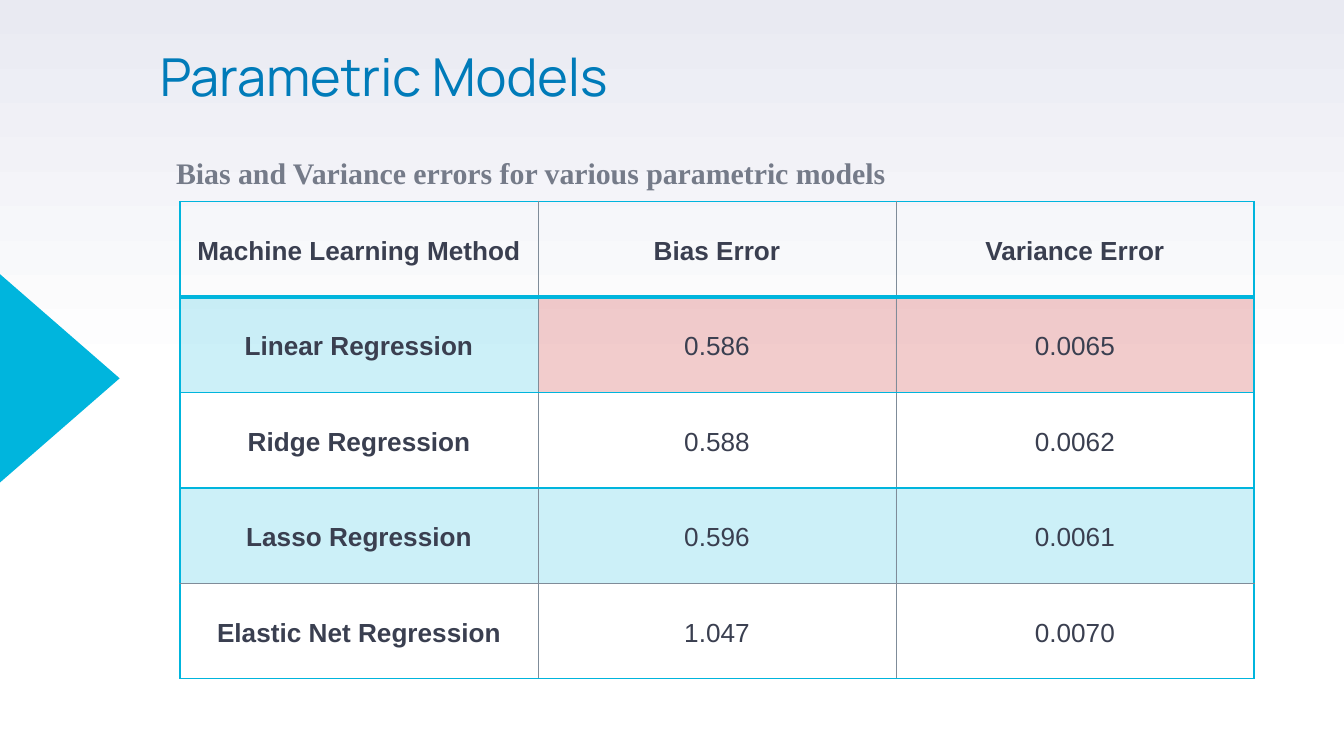
"""Build the slide that compares the errors of parametric models."""
from lxml import etree
from pptx import Presentation, util as u
from pptx.dml.color import RGBColor
from pptx.enum import shapes, text
from pptx.oxml.ns import qn

BLUE = RGBColor(0x00, 0x7B, 0xB9)
CYAN = RGBColor(0x00, 0xB5, 0xDD)
RED = RGBColor(0xC0, 0x00, 0x00)
GREY = RGBColor(0x75, 0x7B, 0x89)
RULE = RGBColor(0x7F, 0x8C, 0x99)
INK = RGBColor(0x3A, 0x3F, 0x50)
WHITE = RGBColor(0xFF, 0xFF, 0xFF)
LILAC = RGBColor(0xE9, 0xEA, 0xF2)

ROWS = [
    ("Machine Learning Method", "Bias Error", "Variance Error"),
    ("Linear Regression", "0.586", "0.0065"),
    ("Ridge Regression", "0.588", "0.0062"),
    ("Lasso Regression", "0.596", "0.0061"),
    ("Elastic Net Regression", "1.047", "0.0070"),
]
TINTS = {(1, 0): CYAN, (1, 1): RED, (1, 2): RED,
         (3, 0): CYAN, (3, 1): CYAN, (3, 2): CYAN}
ROW_RULES = [(CYAN, 1), (CYAN, 2), (CYAN, 1), (CYAN, 1), (RULE, 0.5), (CYAN, 1)]
COLUMN_RULES = [(CYAN, 1), (RULE, 0.5), (RULE, 0.5), (CYAN, 1)]


def write(tf, words, font="Arial", size=14, color=INK, bold=False,
          align=text.PP_ALIGN.LEFT, spacing=1.0, after=0):
    """Put one formatted paragraph into a text frame."""
    p = tf.paragraphs[0]
    p.alignment, p.line_spacing = align, spacing
    p.space_before, p.space_after = u.Pt(0), u.Pt(after)
    r = p.add_run()
    r.text = words
    r.font.name, r.font.size, r.font.bold = font, u.Pt(size), bold
    r.font.color.rgb = color


class Deck:
    """Hold the slide and a grid of 100 columns by 56.25 rows."""

    def __init__(self):
        self.prs = Presentation()
        self.prs.slide_width, self.prs.slide_height = u.Inches(10), u.Inches(5.625)
        self.unit = self.prs.slide_width / 100
        self.s = self.prs.slides.add_slide(self.prs.slide_layouts[5])

    def box(self, *cells):
        """Turn grid lengths into slide lengths."""
        return [u.Emu(round(c * self.unit)) for c in cells]

    def background(self, low, high):
        """Fade from the low colour at mid-height to the high colour at the top."""
        fill = self.s.background.fill
        fill.gradient()
        fill.gradient_angle = 90
        for stop, color, position in zip(fill.gradient_stops, (low, high), (0.5, 1)):
            stop.color.rgb, stop.position = color, position

    def frame(self, sp, anchor, indent=0):
        """Give a text shape plain margins and return its frame."""
        tf = sp.text_frame
        tf.word_wrap, tf.auto_size = True, text.MSO_AUTO_SIZE.NONE
        tf.vertical_anchor = anchor
        tf.margin_left = self.box(indent)[0]
        tf.margin_top = tf.margin_right = tf.margin_bottom = 0
        return tf

    def title(self, words, *cells, **style):
        """Place and format the title placeholder."""
        sp = self.s.shapes.title
        sp.left, sp.top, sp.width, sp.height = self.box(*cells)
        write(self.frame(sp, text.MSO_ANCHOR.BOTTOM), words, **style)

    def label(self, words, *cells, indent=0, **style):
        """Add a text box."""
        sp = self.s.shapes.add_textbox(*self.box(*cells))
        write(self.frame(sp, text.MSO_ANCHOR.TOP, indent), words, **style)

    def pointer(self, *cells, color):
        """Add a triangle that points right."""
        sp = self.s.shapes.add_shape(shapes.MSO_SHAPE.ISOSCELES_TRIANGLE, *self.box(*cells))
        sp.rotation = 90
        sp.shadow.inherit = False
        sp.fill.solid()
        sp.fill.fore_color.rgb = color
        sp.line.fill.background()

    def border(self, cell, side, color, width):
        """Draw one side of a table cell."""
        ln = etree.SubElement(cell._tc.get_or_add_tcPr(), qn(f"a:ln{side}"), w=str(u.Pt(width)))
        fill = etree.SubElement(ln, qn("a:solidFill"))
        etree.SubElement(fill, qn("a:srgbClr"), val=str(color))

    def tint(self, cell, color):
        """Fill a cell with a 20 % tint, or leave it clear."""
        if color is None:
            cell.fill.background()
            return
        cell.fill.solid()
        cell.fill.fore_color.rgb = color
        clr = cell._tc.tcPr.find(f"{qn('a:solidFill')}/{qn('a:srgbClr')}")
        etree.SubElement(clr, qn("a:alpha"), val="20000")

    def table(self, rows, *cells):
        """Add the ruled table with tinted cells."""
        table = self.s.shapes.add_table(len(rows), len(rows[0]), *self.box(*cells)).table
        table.first_row = table.horz_banding = False
        for i, row in enumerate(rows):
            for j, words in enumerate(row):
                cell = table.cell(i, j)
                cell.vertical_anchor = text.MSO_ANCHOR.MIDDLE
                cell.margin_left = cell.margin_right = u.Inches(0.07)
                cell.margin_top = cell.margin_bottom = 0
                write(cell.text_frame, words, bold=i == 0 or j == 0,
                      align=text.PP_ALIGN.CENTER, spacing=1.15, after=10)
                sides = (COLUMN_RULES[j], COLUMN_RULES[j + 1], ROW_RULES[i], ROW_RULES[i + 1])
                for side, rule in zip("LRTB", sides):
                    self.border(cell, side, *rule)
                self.tint(cell, TINTS.get((i, j)))


def main():
    """Compose and save the slide."""
    deck = Deck()
    deck.background(WHITE, LILAC)
    deck.pointer(-3.3, 23.7, 15.5, 8.9, color=CYAN)
    deck.title("Parametric Models", 11.9, 2.4, 51.1, 5.5,
               font="Manrope", size=28, color=BLUE, spacing=0.8)
    deck.label("Bias and Variance errors for various parametric models",
               11.9, 10.2, 85.5, 4.9, indent=1.2, font="Times New Roman",
               size=16, color=GREY, bold=True, spacing=1.5)
    deck.table(ROWS, 13.4, 15, 79.9, 35.5)
    deck.prs.save("out.pptx")


if __name__ == "__main__":
    main()
